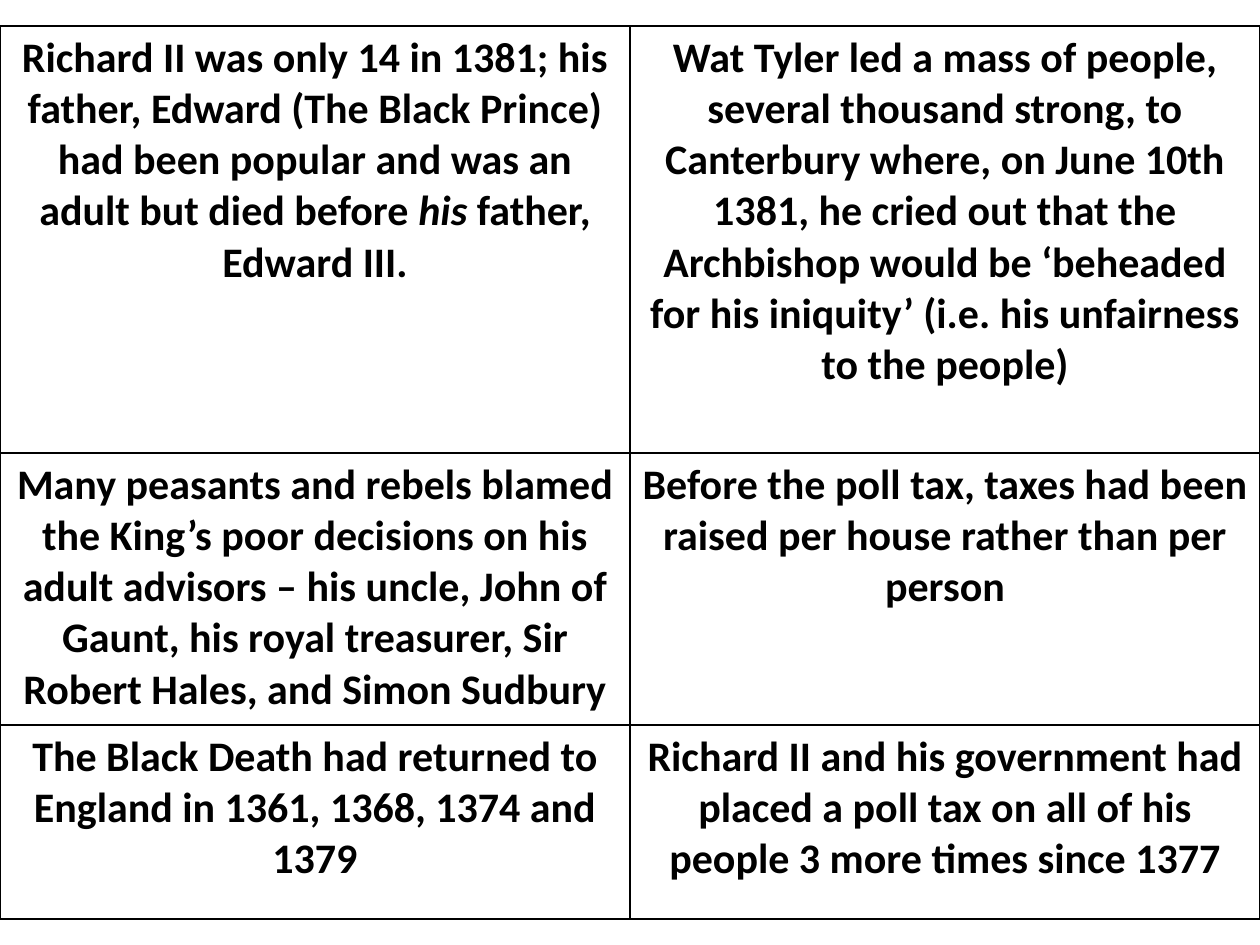
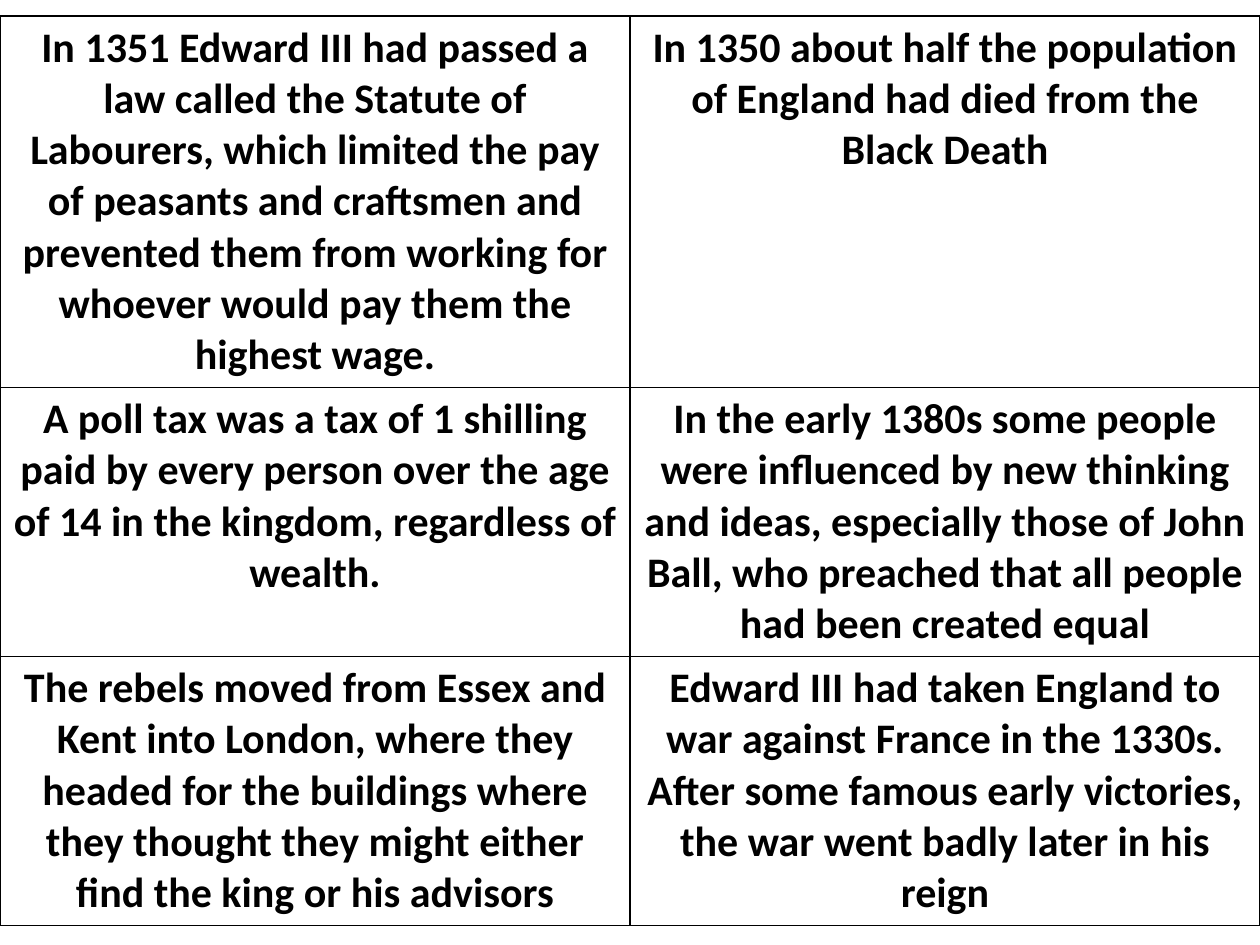
from lxml import etree
from pptx import Presentation
from pptx.dml.color import RGBColor
from pptx.enum.text import PP_ALIGN
from pptx.oxml.ns import qn
from pptx.util import Emu, Pt

PX = 914400 / 126
WIDTH, HEIGHT = 1260, 945
COLORS = {"ink": "000000", "paper": "FFFFFF"}


def px(n):
    return Emu(round(n * PX))


class Deck:
    font, size, border = "Calibri", Pt(24), Pt(1)

    def __init__(self):
        self.prs = Presentation()
        self.prs.slide_width, self.prs.slide_height = px(WIDTH), px(HEIGHT)

    def add_slide(self):
        self.s = self.prs.slides.add_slide(self.prs.slide_layouts[6])
        fill = self.s.background.fill
        fill.solid()
        fill.fore_color.rgb = RGBColor.from_string(COLORS["paper"])

    def add_cards(self, top, heights, rows):
        """Draw a full-width grid of fact cards, one height in px per row."""
        cols = len(rows[0])
        frame = self.s.shapes.add_table(len(rows), cols, 0, px(top),
                                        px(WIDTH), px(sum(heights)))
        table = frame.table
        table.first_row = table.horz_banding = False
        for col in table.columns:
            col.width = px(WIDTH // cols)
        for row, height, facts in zip(table.rows, heights, rows):
            row.height = px(height)
            for cell, fact in zip(row.cells, facts):
                self.fill_card(cell, fact)

    def fill_card(self, cell, fact):
        """Write a fact; every second part between asterisks is italic."""
        cell.fill.solid()
        cell.fill.fore_color.rgb = RGBColor.from_string(COLORS["paper"])
        self.add_borders(cell)
        p = cell.text_frame.paragraphs[0]
        p.alignment = PP_ALIGN.CENTER
        for i, part in enumerate(fact.split("*")):
            r = p.add_run()
            r.text = part
            r.font.name, r.font.size = self.font, self.size
            r.font.bold, r.font.italic = True, i % 2 == 1
            r.font.color.rgb = RGBColor.from_string(COLORS["ink"])

    def add_borders(self, cell):
        tc_pr = cell._tc.get_or_add_tcPr()
        for i, side in enumerate(("lnL", "lnR", "lnT", "lnB")):
            ln = etree.Element(qn(f"a:{side}"), w=str(self.border))
            fill = etree.SubElement(ln, qn("a:solidFill"))
            etree.SubElement(fill, qn("a:srgbClr"), val=COLORS["ink"])
            tc_pr.insert(i, ln)


SLIDES = [
    (26, (427, 272, 194), [
        ("Richard II was only 14 in 1381; his father, Edward (The Black Prince) had been "
         "popular and was an adult but died before *his* father, Edward III.",
         "Wat Tyler led a mass of people, several thousand strong, to Canterbury where, on "
         "June 10th 1381, he cried out that the Archbishop would be ‘beheaded for his "
         "iniquity’ (i.e. his unfairness to the people)"),
        ("Many peasants and rebels blamed the King’s poor decisions on his adult advisors – "
         "his uncle, John of Gaunt, his royal treasurer, Sir Robert Hales, and Simon Sudbury",
         "Before the poll tax, taxes had been raised per house rather than per person"),
        ("The Black Death had returned to England in 1361, 1368, 1374 and 1379",
         "Richard II and his government had placed a poll tax on all of his people 3 more "
         "times since 1377"),
    ]),
    (16, (371, 269, 269), [
        ("In 1351 Edward III had passed a law called the Statute of Labourers, which limited "
         "the pay of peasants and craftsmen and prevented them from working for whoever "
         "would pay them the highest wage.",
         "In 1350 about half the population of England had died from the Black Death"),
        ("A poll tax was a tax of 1 shilling paid by every person over the age of 14 in the "
         "kingdom, regardless of wealth.",
         "In the early 1380s some people were influenced by new thinking and ideas, "
         "especially those of John Ball, who preached that all people had been created equal"),
        ("The rebels moved from Essex and Kent into London, where they headed for the "
         "buildings where they thought they might either find the king or his advisors",
         "Edward III had taken England to war against France in the 1330s. After some famous "
         "early victories, the war went badly later in his reign"),
    ]),
]


def main():
    deck = Deck()
    for top, heights, rows in SLIDES:
        deck.add_slide()
        deck.add_cards(top, heights, rows)
    deck.prs.save("out.pptx")


if __name__ == "__main__":
    main()
